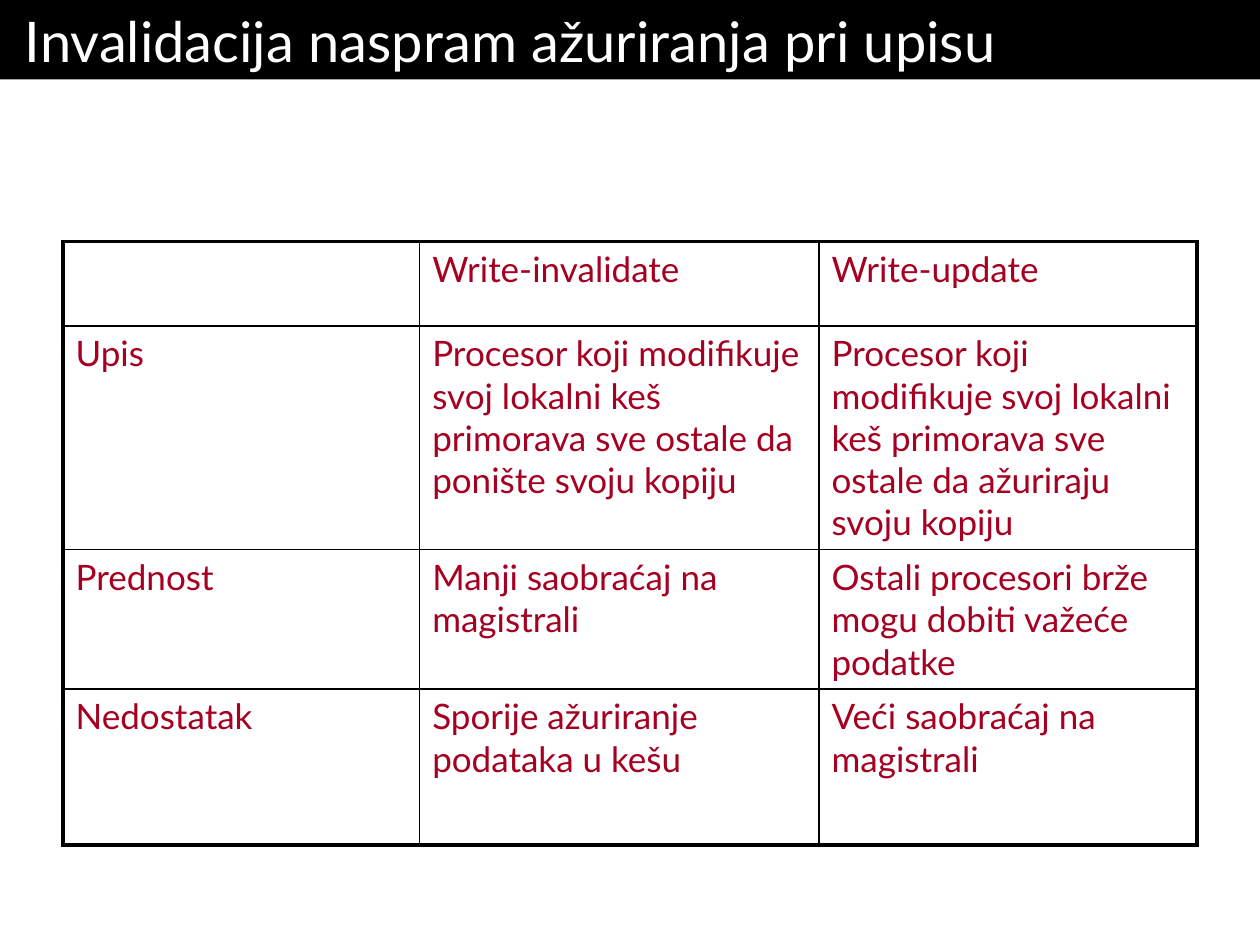
from typing import NamedTuple

from lxml.etree import SubElement
from pptx import Presentation
from pptx.dml.color import RGBColor
from pptx.enum.shapes import MSO_SHAPE as Shape
from pptx.enum.text import MSO_ANCHOR as Anchor, PP_ALIGN as Align
from pptx.oxml import parse_xml
from pptx.oxml.ns import nsdecls, qn
from pptx.util import Cm, Pt

FONT = "Lato"
BLACK, WHITE, RED = "000000", "FFFFFF", "A50021"
OUTER, INNER = 2.25, 1
COLUMN_WIDTHS = (7.19, 8.05, 7.62)


class Row(NamedTuple):
    height: float
    label: str
    invalidate: str
    update: str


ROWS = (
    Row(1.7, "", "Write-invalidate", "Write-update"),
    Row(4.5, "Upis",
        "Procesor koji modifikuje svoj lokalni keš primorava sve ostale da ponište svoju kopiju",
        "Procesor koji modifikuje svoj lokalni keš primorava sve ostale da ažuriraju svoju kopiju"),
    Row(2.8, "Prednost", "Manji saobraćaj na magistrali",
        "Ostali procesori brže mogu dobiti važeće podatke"),
    Row(3.15, "Nedostatak", "Sporije ažuriranje podataka u kešu",
        "Veći saobraćaj na magistrali"),
)


def color(value: str) -> RGBColor:
    return RGBColor.from_string(value)


def add_text(text_frame, text: str, size: float, text_color: str) -> None:
    paragraph = text_frame.paragraphs[0]
    paragraph.alignment = Align.LEFT
    run = paragraph.add_run()
    run.text = text
    run.font.name = FONT
    run.font.size = Pt(size)
    run.font.bold = False
    run.font.color.rgb = color(text_color)


def set_borders(cell, widths: dict[str, float]) -> None:
    """Draw black cell edges; widths are in points, keyed L, R, T, B in schema order."""
    properties = cell._tc.get_or_add_tcPr()
    for index, (side, width) in enumerate(widths.items()):
        line = parse_xml(f'<a:ln{side} {nsdecls("a")} w="{Pt(width)}"/>')
        fill = SubElement(line, qn("a:solidFill"))
        SubElement(fill, qn("a:srgbClr"), val=BLACK)
        properties.insert(index, line)


def add_title(slide, text: str) -> None:
    bar = slide.shapes.add_shape(Shape.RECTANGLE, 0, 0, Cm(25.4), Cm(1.6))
    bar.shadow.inherit = False
    bar.fill.solid()
    bar.fill.fore_color.rgb = color(BLACK)
    bar.line.fill.background()
    frame = bar.text_frame
    frame.word_wrap = True
    frame.vertical_anchor = Anchor.MIDDLE
    frame.margin_left = frame.margin_right = Cm(0.5)
    add_text(frame, text, 32, WHITE)


def add_comparison(slide, rows: tuple[Row, ...]) -> None:
    table = slide.shapes.add_table(
        len(rows), len(COLUMN_WIDTHS), Cm(1.27), Cm(4.87),
        Cm(sum(COLUMN_WIDTHS)), Cm(sum(row.height for row in rows))).table
    table.first_row = table.horz_banding = False
    for column, width in zip(table.columns, COLUMN_WIDTHS):
        column.width = Cm(width)

    last_row, last_column = len(rows) - 1, len(COLUMN_WIDTHS) - 1
    for i, row in enumerate(rows):
        table.rows[i].height = Cm(row.height)
        for j, text in enumerate((row.label, row.invalidate, row.update)):
            cell = table.cell(i, j)
            cell.fill.background()
            set_borders(cell, {
                "L": OUTER if j == 0 else INNER,
                "R": OUTER if j == last_column else INNER,
                "T": OUTER if i == 0 else INNER,
                "B": OUTER if i == last_row else INNER,
            })
            if text:
                add_text(cell.text_frame, text, 20, RED)


def main() -> None:
    presentation = Presentation()
    presentation.slide_width, presentation.slide_height = Cm(25.4), Cm(19.05)
    slide = presentation.slides.add_slide(presentation.slide_layouts[6])
    add_title(slide, "Invalidacija naspram ažuriranja pri upisu")
    add_comparison(slide, ROWS)
    presentation.save("out.pptx")


if __name__ == "__main__":
    main()
